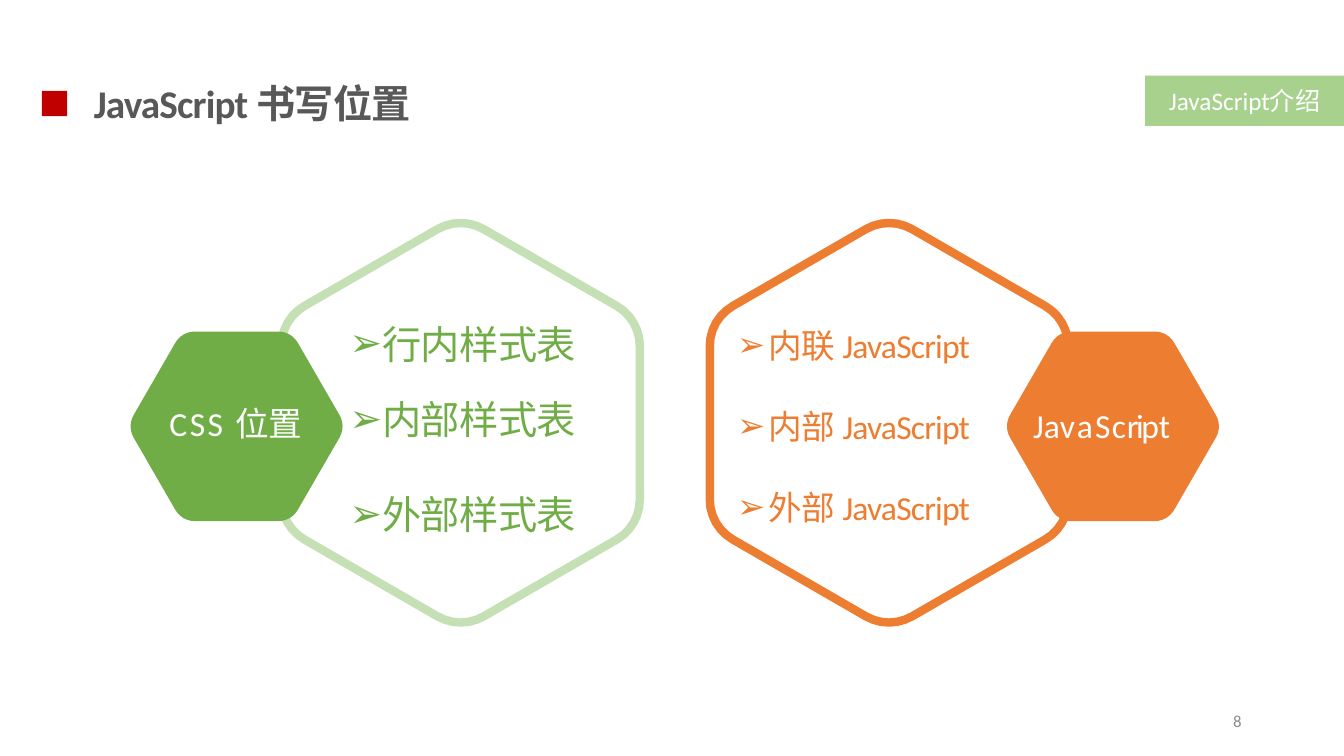
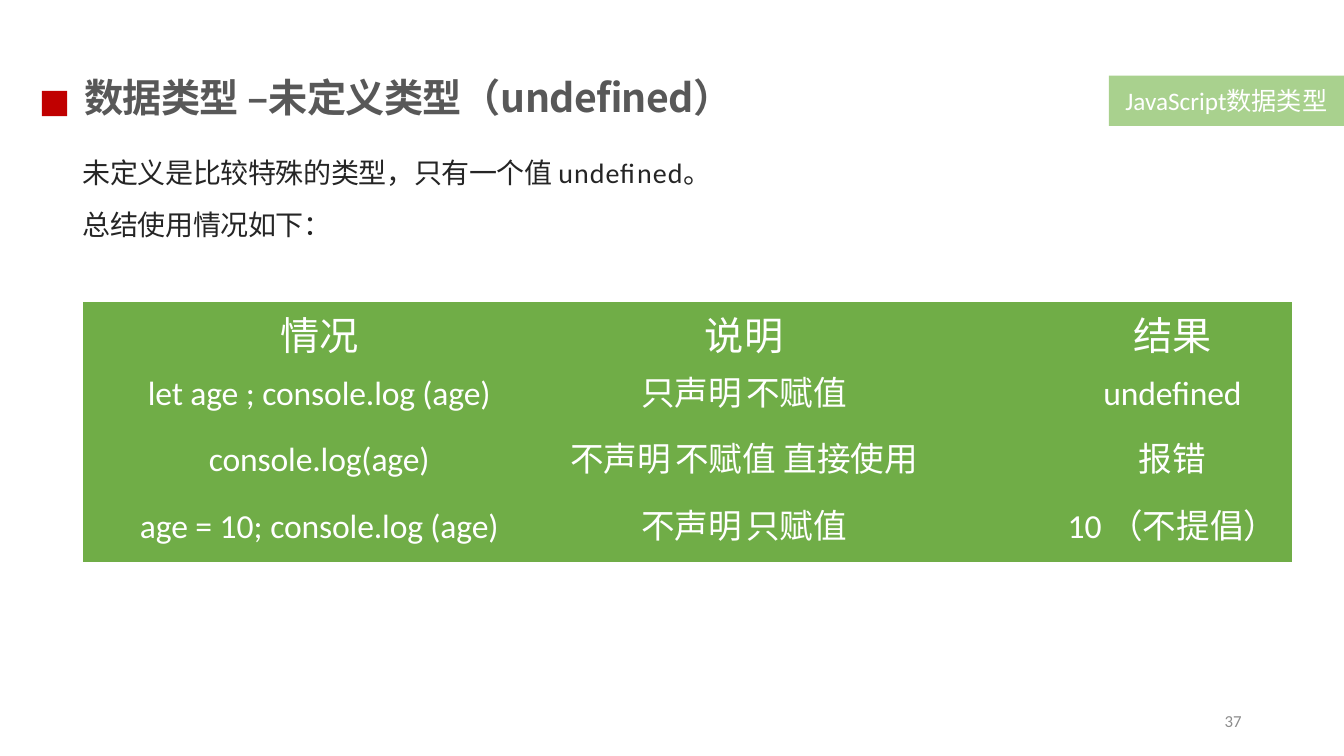
"""Build two JavaScript lesson slides."""
import math
from dataclasses import dataclass

from lxml import etree
from pptx import Presentation
from pptx.dml.color import RGBColor
from pptx.enum import shapes, text
from pptx.oxml import ns
from pptx.util import Pt


@dataclass(frozen=True)
class Theme:
    """Colours, fonts and type sizes of the deck."""
    red: str = "C00000"
    heading: str = "585858"
    ink: str = "252525"
    muted: str = "8C8C8C"
    white: str = "FFFFFF"
    green: str = "70AD47"
    tag_green: str = "A9D18E"
    pale_green: str = "C5E0B4"
    orange: str = "ED7D31"
    font: str = "Calibri"
    cjk_font: str = "Noto Sans CJK SC"
    title: int = 28
    large: int = 24
    body: int = 20
    tag: int = 18
    small: int = 12
    no_grid: str = "{2D5ABB26-0587-4C30-8999-92F81FD0307C}"


THEME = Theme()
TIGHT = (0, 1, 0, 0)


def place(shape, box):
    """Move a shape to a box of left, top, width and height."""
    shape.left, shape.top, shape.width, shape.height = map(Pt, box)


def set_margins(target, margins):
    """Set the left, top, right and bottom margins."""
    (target.margin_left, target.margin_top,
     target.margin_right, target.margin_bottom) = map(Pt, margins)


def write(para, runs, size, color, font=THEME.font, bold=False, align=None):
    """Fill a paragraph with (text, spacing) runs of one style."""
    para.alignment = align
    para.space_before = Pt(0)
    for words, spacing in runs:
        span = para.add_run()
        span.text = words
        span.font.size = Pt(size)
        span.font.name = font
        span.font.bold = bold
        span.font.color.rgb = RGBColor.from_string(color)
        properties = span.font._element
        properties.set("spc", str(round(spacing * 100)))
        latin = properties.find(ns.qn("a:latin"))
        east = etree.Element(ns.qn("a:ea"), typeface=font)
        latin.addnext(east)


def set_bullet(para, mark=None, indent=0, hanging=0):
    """Give a paragraph a bullet mark, or none."""
    properties = para._p.get_or_add_pPr()
    properties.set("marL", str(Pt(indent)))
    properties.set("indent", str(-Pt(hanging)))
    if mark:
        etree.SubElement(properties, ns.qn("a:buChar"), char=mark)
    else:
        etree.SubElement(properties, ns.qn("a:buNone"))


def prepare_frame(shape, margins=TIGHT):
    """Return the wrapping text frame of a shape."""
    frame = shape.text_frame
    frame.word_wrap = True
    frame.auto_size = text.MSO_AUTO_SIZE.NONE
    set_margins(frame, margins)
    return frame


def add_label(page, box, runs, size, color, align=None, margins=TIGHT):
    """Add a one-paragraph text box."""
    shape = page.shapes.add_textbox(*map(Pt, box))
    frame = prepare_frame(shape, margins)
    write(frame.paragraphs[0], runs, size, color, align=align)
    return frame


def add_block(page, box, color):
    """Add a plain filled rectangle."""
    shape = page.shapes.add_shape(shapes.MSO_SHAPE.RECTANGLE, *map(Pt, box))
    shape.shadow.inherit = False
    shape.fill.solid()
    shape.fill.fore_color.rgb = RGBColor.from_string(color)
    shape.line.fill.background()
    return shape


def fill_list(shape, box, items, gaps, size, color, mark=None):
    """Fill a body placeholder with one paragraph per item."""
    place(shape, box)
    frame = prepare_frame(shape)
    for index, (runs, gap) in enumerate(zip(items, gaps)):
        para = frame.add_paragraph() if index else frame.paragraphs[0]
        if mark:
            set_bullet(para, mark, 24, 22.5)
        else:
            set_bullet(para)
        write(para, runs, size, color)
        para.space_before = Pt(gap)


def add_page(deck, layout, title, title_box, title_font, tag, tag_width, number):
    """Add a slide with its marker, title, section tag and number."""
    page = deck.slides.add_slide(deck.slide_layouts[layout])
    add_block(page, (30, 65, 18, 18), THEME.red)
    place(page.shapes.title, title_box)
    frame = prepare_frame(page.shapes.title)
    frame.vertical_anchor = text.MSO_ANCHOR.MIDDLE
    write(frame.paragraphs[0], title, THEME.title, THEME.heading,
          title_font, True, text.PP_ALIGN.LEFT)

    block = add_block(page, (960 - tag_width, 54, tag_width, 36), THEME.tag_green)
    frame = prepare_frame(block, (7, 4, 7, 4))
    frame.vertical_anchor = text.MSO_ANCHOR.MIDDLE
    write(frame.paragraphs[0], [(tag, 0)], THEME.tag, THEME.white,
          align=text.PP_ALIGN.CENTER)

    frame = add_label(page, (636, 500, 258, 29), [(number, 0)], THEME.small,
                      THEME.muted, text.PP_ALIGN.RIGHT, (7, 4, 7, 4))
    frame.vertical_anchor = text.MSO_ANCHOR.MIDDLE
    return page


def add_hexagon(page, center, apothem, radius, turn):
    """Draw a regular hexagon with rounded corners."""
    reach = (apothem - radius) / math.cos(math.radians(30))
    points = []
    for corner in range(turn, turn + 360, 60):
        angle = math.radians(corner)
        for sweep in range(corner - 30, corner + 31, 10):
            bend = math.radians(sweep)
            points.append((
                Pt(center[0] + reach * math.cos(angle) + radius * math.cos(bend)),
                Pt(center[1] + reach * math.sin(angle) + radius * math.sin(bend))))
    builder = page.shapes.build_freeform(*points[0])
    builder.add_line_segments(points[1:], close=True)
    shape = builder.convert_to_shape()
    shape.shadow.inherit = False
    return shape


def add_panel(page, body, box, side, colors, label, label_box, items, item_box,
              gaps, size):
    """Place an outlined hexagon with its list and a badge on one side."""
    left, top, width, height = box
    center = (left + width / 2, top + height / 2)
    outline_color, color = colors
    ring = add_hexagon(page, center, width / 2, 33, 30)
    ring.fill.background()
    ring.line.color.rgb = RGBColor.from_string(outline_color)
    ring.line.width = Pt(6)

    badge = add_hexagon(page, (center[0] + side * 160, center[1] + 2.5), 67.7, 16, 0)
    badge.fill.solid()
    badge.fill.fore_color.rgb = RGBColor.from_string(color)
    badge.line.fill.background()

    label_x, label_y, *label_size = label_box
    add_label(page, (left + label_x, top + label_y, *label_size), label,
              THEME.large, THEME.white)
    item_x, item_y, *item_size = item_box
    fill_list(body, (left + item_x, top + item_y, *item_size), items, gaps,
              size, color, "➢")


def add_case_table(page, box, widths, heights, rows):
    """Add the borderless table of cases."""
    frame = page.shapes.add_table(len(rows), len(widths), *map(Pt, box))
    table = frame.table
    table.first_row = table.horz_banding = False
    next(frame.element.iter(ns.qn("a:tableStyleId"))).text = THEME.no_grid
    for column, width in zip(table.columns, widths):
        column.width = Pt(width)
    sides = ((0, 4), (0, 39), (51, 0))
    tops = (7.5, 9, 8.5, 8.5)
    for index, (row, height) in enumerate(zip(rows, heights)):
        table.rows[index].height = Pt(height)
        for cell, runs, (left, right) in zip(table.rows[index].cells, row, sides):
            cell.fill.solid()
            cell.fill.fore_color.rgb = RGBColor.from_string(THEME.green)
            set_margins(cell, (left, tops[index], right, 0))
            write(cell.text_frame.paragraphs[0], runs,
                  THEME.large if index else THEME.title, THEME.white,
                  align=text.PP_ALIGN.CENTER)


def build_position_page(deck):
    """Build the slide on where code is written."""
    page = add_page(deck, 3, [("JavaScript ", -0.6), ("书写位置", -0.4)],
                    (67, 55.5, 347, 35), THEME.font, "JavaScript介绍", 142, "8")
    bodies = [shape for shape in page.placeholders
              if shape.placeholder_format.idx]
    add_panel(page, bodies[0], (201, 159, 256, 286), -1,
              (THEME.pale_green, THEME.green),
              [("CSS ", 1.8), ("位置", -0.4)], (-80, 128, 97, 31),
              [[(name, -0.3)] for name in ("行内样式表", "内部样式表", "外部样式表")],
              (47, 68.5, 184, 159), (0, 20.5, 34), THEME.title)
    add_panel(page, bodies[1], (507, 159, 256, 286), 1,
              (THEME.orange, THEME.orange),
              [("J", -1.4), ("a", -1.6), ("va", 1.6), ("S", 0.8), ("c", 0.7),
               ("rip", -1.8), ("t", -4)], (231, 129, 114, 31),
              [[(name, -0.3), ("JavaScript", -0.6)]
               for name in ("内联 ", "内部 ", "外部 ")],
              (18, 72, 225, 146), (0, 29, 29), THEME.large)


def build_undefined_page(deck):
    """Build the slide on the undefined type."""
    page = add_page(deck, 1, [("数据类型 ", -0.4), ("–", -1.1),
                              ("未定义类型（undefined）", -0.4)],
                    (60, 51, 576, 35), THEME.cjk_font,
                    "JavaScript数据类型", 168, "37")
    fill_list(page.placeholders[1], (59, 110, 631, 63),
              [[("未定义是比较特殊的类型，只有一个值 ", -0.3), ("undefined", 0.7),
                ("。", -0.3)], [("总结使用情况如下：", -0.3)]],
              (0, 13), THEME.body, THEME.ink)
    rows = [
        [[("情况", 0)], [("说明", 0)], [("结果", 0)]],
        [[("let age ", -0.1), ("; ", 0), ("console.log (age)", -0.1)],
         [("只声", 0), ("明", 2.8), ("不赋值", 0)], [("undefined", -0.1)]],
        [[("console.log(age)", -0.1)],
         [("不声", 0), ("明", 2.8), ("不赋值 直接使用", 0)], [("报错", 0)]],
        [[("age ", -0.1), ("= 10; ", 0), ("console.log (age)", -0.1)],
         [("不声", 0), ("明", 2.8), ("只赋值", 0)], [("10 （不提倡）", 0)]],
    ]
    add_case_table(page, (59, 216, 864, 185), (342, 300, 222),
                   (41, 48, 48, 48), rows)


def main():
    """Build and save the deck."""
    deck = Presentation()
    deck.slide_width, deck.slide_height = Pt(960), Pt(540)
    build_position_page(deck)
    build_undefined_page(deck)
    deck.save("out.pptx")


if __name__ == "__main__":
    main()
